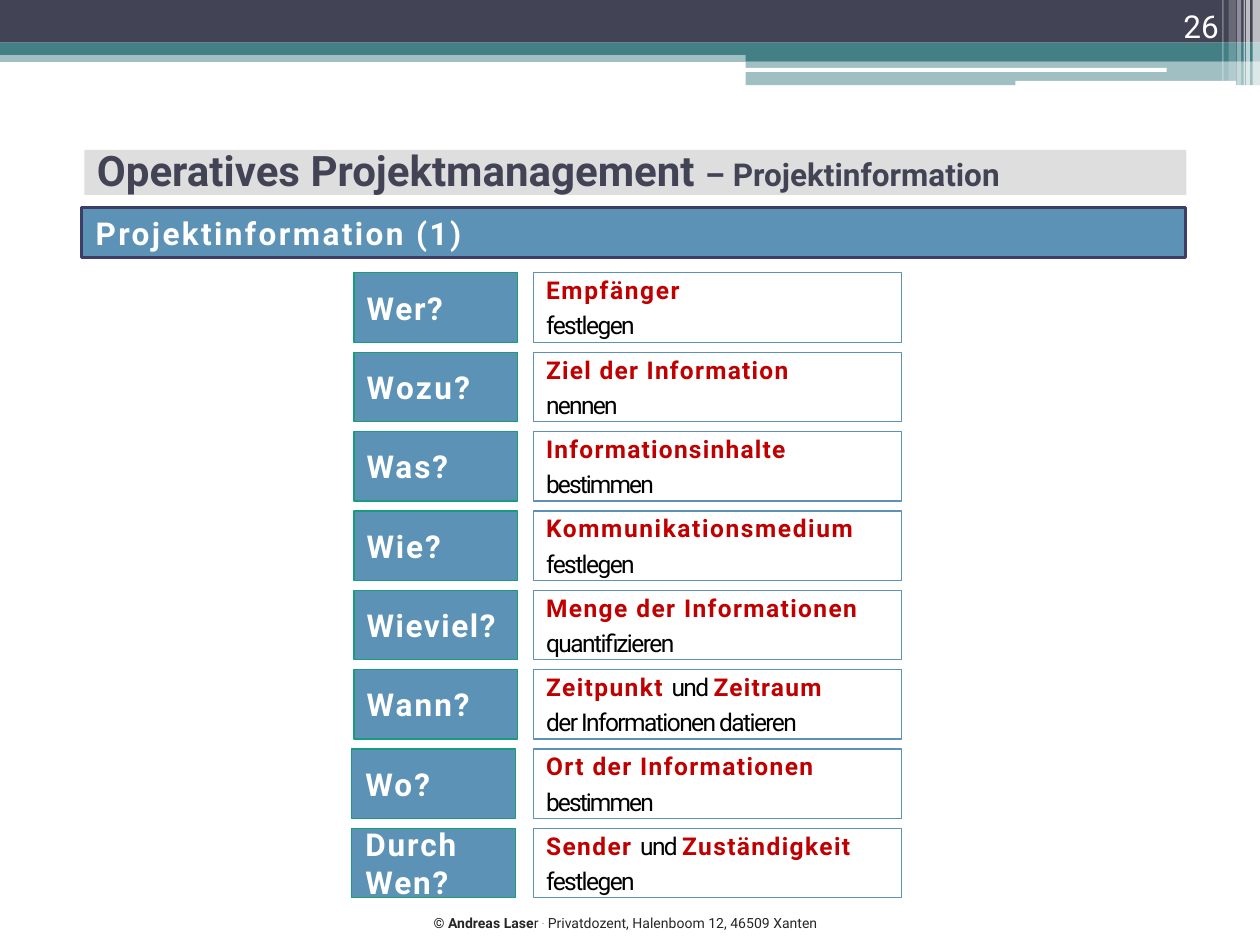
"""Build the slide on project information."""
from dataclasses import dataclass
from typing import NamedTuple

from lxml.etree import SubElement
from pptx import Presentation
from pptx.dml.color import RGBColor
from pptx.enum.shapes import MSO_SHAPE
from pptx.enum.text import MSO_ANCHOR, MSO_AUTO_SIZE, PP_ALIGN
from pptx.oxml.ns import qn
from pptx.util import Cm, Pt


@dataclass(frozen=True)
class Theme:
    font: str = "Roboto"
    dark: str = "424456"
    teal: str = "438086"
    blue: str = "5C92B5"
    navy: str = "3D3E66"
    green: str = "179C7D"
    red: str = "C00000"
    grey: str = "DEDEDE"
    ink: str = "262626"
    black: str = "000000"
    white: str = "FFFFFF"
    title: int = 24
    head: int = 18
    body: int = 14
    foot: int = 8


THEME = Theme()


class Box(NamedTuple):
    left: float
    top: float
    width: float
    height: float


class Band(NamedTuple):
    box: Box
    fill: str
    alpha: int = 100
    form: MSO_SHAPE = MSO_SHAPE.RECTANGLE


class Span(NamedTuple):
    text: str
    size: int
    tint: str
    bold: bool = False
    gap: float = 0
    rise: int = 0


class Row(NamedTuple):
    label: Span
    first: list[Span]
    last: Span
    shift: float = 0


def ask(text: str, gap: float) -> Span:
    return Span(text, THEME.head, THEME.white, True, gap)


def key(text: str, gap: float) -> Span:
    return Span(text, THEME.body, THEME.red, True, gap)


def plain(text: str, gap: float) -> Span:
    return Span(text, THEME.body, THEME.black, False, gap)


def place(box: Box) -> list[int]:
    return [Cm(side) for side in box]


def draw(slide, band: Band, line: str = "", weight: float = 0.75):
    shape = slide.shapes.add_shape(band.form, *place(band.box))
    shape.shadow.inherit = False
    if band.fill:
        shape.fill.solid()
        shape.fill.fore_color.rgb = RGBColor.from_string(band.fill)
    else:
        shape.fill.background()
    if band.alpha < 100:
        for tint in shape.element.spPr.iter(qn("a:srgbClr")):
            SubElement(tint, qn("a:alpha"), val=str(band.alpha * 1000))
    if line:
        shape.line.color.rgb = RGBColor.from_string(line)
        shape.line.width = Pt(weight)
    else:
        shape.line.fill.background()
    return shape


def write(part, spans: list[Span], side: PP_ALIGN = PP_ALIGN.LEFT) -> None:
    part.alignment = side
    part.text = spans[0].text
    for span in spans[1:]:
        part.add_run().text = span.text
    for run, span in zip(part.runs, spans):
        font = run.font
        font.name = THEME.font
        font.size = Pt(span.size)
        font.bold = span.bold
        font.color.rgb = RGBColor.from_string(span.tint)
        marks = run._r.get_or_add_rPr()
        if span.gap:
            marks.set("spc", str(round(span.gap * 100)))
        if span.rise:
            marks.set("baseline", str(span.rise * 1000))


def inset(frame, left: float = 0.25) -> None:
    frame.word_wrap = True
    frame.vertical_anchor = MSO_ANCHOR.MIDDLE
    frame.margin_left = Cm(left)
    frame.margin_top = frame.margin_right = frame.margin_bottom = 0


def list_row(slide, row: Row, top: float) -> None:
    tile = draw(slide, Band(Box(7.14 - row.shift, top, 3.3, 1.4), THEME.blue), THEME.green)
    inset(tile.text_frame, 0.25 + row.shift / 2)
    part = tile.text_frame.paragraphs[0]
    write(part, [row.label])
    part.line_spacing = Pt(21.6)
    card = draw(slide, Band(Box(10.76, top, 7.41, 1.4), ""), THEME.blue)
    inset(card.text_frame)
    write(card.text_frame.paragraphs[0], row.first)
    part = card.text_frame.add_paragraph()
    write(part, [row.last])
    part.space_before = Pt(3.3)


TOP = Box(0, 0, 25.4, 0.86)
ROUND = MSO_SHAPE.ROUNDED_RECTANGLE
BANDS = [
    Band(Box(0, 1.02, 25.4, 0.23), THEME.teal, 50),
    Band(TOP, THEME.dark),
    Band(Box(0, 0.86, 25.4, 0.25), THEME.teal),
    Band(Box(15.03, 0.99, 10.37, 0.24), THEME.teal),
    Band(Box(15.03, 1.23, 10.37, 0.49), THEME.teal, 50),
    Band(Box(15.01, 1.37, 8.51, 0.08), THEME.white, 100, ROUND),
    Band(Box(20.47, 1.63, 4.45, 0.1), THEME.white, 100, ROUND),
]
STRIPS = [(25.25, 0.15, 1.73, 65), (25.12, 0.08, 1.73, 65), (25.07, 0.03, 1.73, 60),
          (24.94, 0.08, 1.73, 40), (24.77, 0.15, 1.63, 20), (24.64, 0.03, 1.63, 30)]
ROWS = [
    Row(ask("Wer?", 1), [key("Empfänger", 0.9)], plain("festlegen", -0.9)),
    Row(ask("Wozu?", 1.4), [key("Ziel der Information", 0.7)], plain("nennen", -1)),
    Row(ask("Was?", 1.1), [key("Informationsinhalte", 0.7)], plain("bestimmen", -1.1)),
    Row(ask("Wie?", 1.1), [key("Kommunikationsmedium", 0.9)], plain("festlegen", -0.9)),
    Row(ask("Wieviel?", 0.9), [key("Menge der Informationen", 0.8)],
        plain("quantifizieren", -0.9)),
    Row(ask("Wann?", 1.2),
        [key("Zeitpunkt ", 0.8), plain("und ", -1), key("Zeitraum", 0.7)],
        plain("der Informationen datieren", -0.9)),
    Row(ask("Wo?", 1.2), [key("Ort der Informationen", 0.8)],
        plain("bestimmen", -1.1), 0.05),
    Row(ask("Durch Wen?", 1.1),
        [key("Sender ", 0.8), plain("und ", -1), key("Zuständigkeit", 0.8)],
        plain("festlegen", -0.9), 0.05),
]


def build() -> None:
    deck = Presentation()
    deck.slide_width, deck.slide_height = Cm(25.4), Cm(19.05)
    slide = deck.slides.add_slide(deck.slide_layouts[5])
    for band in BANDS:
        draw(slide, band)
    for left, width, height, alpha in STRIPS:
        draw(slide, Band(Box(left, 0, width, height), THEME.white, alpha))

    foot = slide.shapes.add_textbox(*place(Box(8.49, 18.31, 8.5, 0.61))).text_frame
    foot.word_wrap = False
    write(foot.paragraphs[0], [
        Span("© Andreas Lase", THEME.foot, THEME.ink, True),
        Span("r ", THEME.foot, THEME.ink),
        Span(".", THEME.foot, THEME.ink, rise=30),
        Span(" Privatdozent, Halenboom 12, 46509 Xanten", THEME.foot, THEME.ink)])

    draw(slide, Band(Box(1.7, 3.02, 22.22, 0.91), THEME.grey))
    title = slide.shapes.title
    title.left, title.top, title.width, title.height = place(Box(1.7, 1.93, 22.45, 2.97))
    title.text_frame.auto_size = MSO_AUTO_SIZE.NONE
    title.text_frame.vertical_anchor = MSO_ANCHOR.MIDDLE
    write(title.text_frame.paragraphs[0], [
        Span("Operatives Projektmanagement ", THEME.title, THEME.dark, True),
        Span("– Projektinformation", THEME.head, THEME.dark, True)])
    slide.shapes._spTree.append(title.element)

    count = slide.shapes.add_textbox(*place(Box(22.71, 0, 2.11, 1.02))).text_frame
    count.word_wrap = True
    count.vertical_anchor = MSO_ANCHOR.BOTTOM
    write(count.paragraphs[0], [Span("26", THEME.head, THEME.white)], PP_ALIGN.RIGHT)

    head = draw(slide, Band(Box(1.65, 4.19, 22.25, 1), THEME.blue), THEME.navy, 1.5)
    inset(head.text_frame, 0.28)
    write(head.text_frame.paragraphs[0], [ask("Projektinformation (1)", 1.4)])
    for place_no, row in enumerate(ROWS):
        list_row(slide, row, 5.5 + 1.6 * place_no)
    deck.save("out.pptx")


build()
